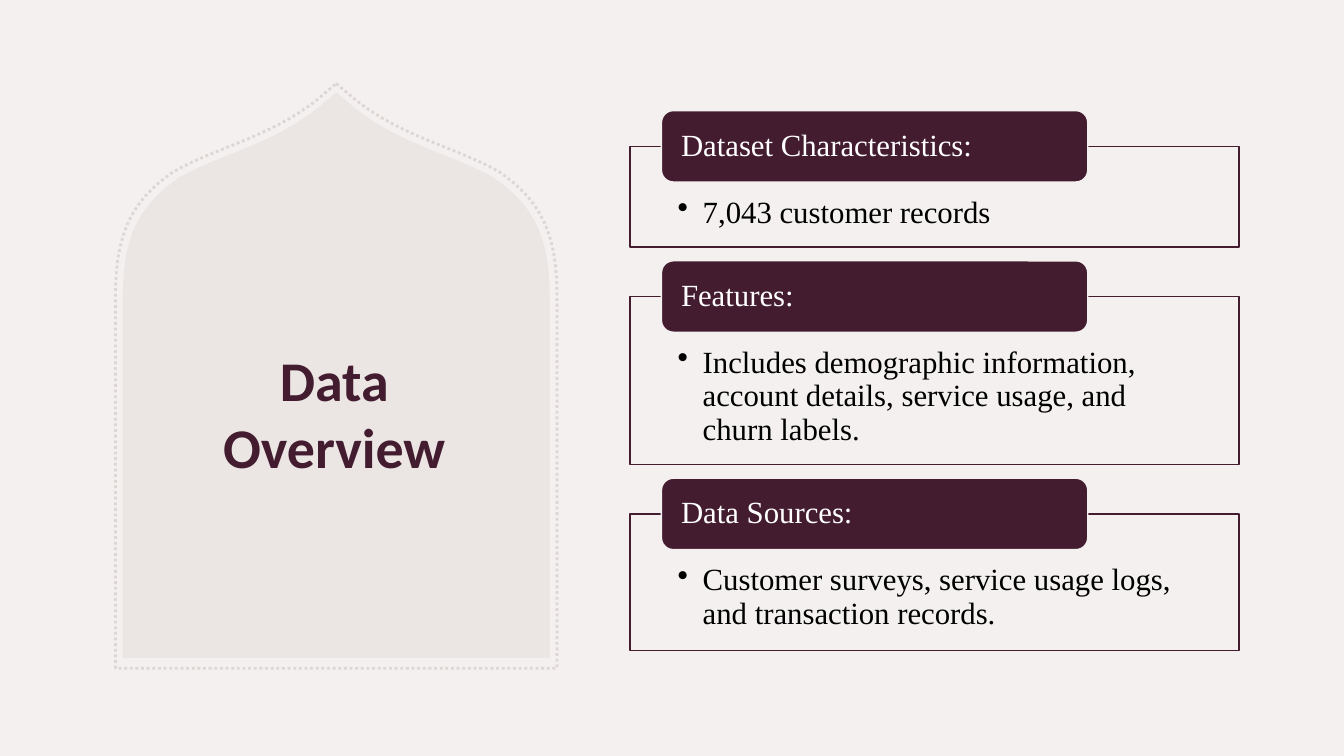
from dataclasses import dataclass

from lxml.etree import SubElement
from pptx import Presentation
from pptx.dml.color import RGBColor
from pptx.enum.dml import MSO_LINE
from pptx.enum.shapes import MSO_SHAPE as Preset
from pptx.enum.text import MSO_ANCHOR as Anchor, PP_ALIGN as Align
from pptx.oxml.ns import qn
from pptx.util import Pt

TITLE = "Data Overview"
# heading, detail, panel height
SECTIONS = [
    ("Dataset Characteristics:", "7,043 customer records", 72),
    ("Features:", "Includes demographic information, account details, "
                  "service usage, and churn labels.", 120),
    ("Data Sources:", "Customer surveys, service usage logs, "
                      "and transaction records.", 97.5),
]


@dataclass(frozen=True)
class Theme:
    background: str = "F3F0EF"
    plum: str = "431C30"
    arch: str = "EBE6E4"
    dots: str = "DED6D3"
    white: str = "FFFFFF"
    black: str = "000000"
    title_font: str = "Calibri"
    body_font: str = "Times New Roman"
    title_size: int = 40
    body_size: int = 22


THEME = Theme()

# Right half of the arch, measured from its tip
ARCH_CENTER = 240.2
ARCH_START = (13.5, 11.5)
ARCH_CURVES = [
    ((46.5, 37.5), (84, 44.5), (112.5, 61)),
    ((140, 80), (152.5, 102), (152.5, 146)),
]
ARCH_FOOT = (152.5, 404)
CURVE_STEPS = 16

PANEL_LEFT, PANEL_WIDTH = 450, 435
TAB_LEFT, TAB_WIDTH, TAB_HEIGHT = 472.5, 304.5, 51
FIRST_TAB_TOP, SECTION_GAP = 79, 9.8
BULLET_INDENT = 18


def color(code):
    return RGBColor.from_string(code)


def bezier(start, first, second, end):
    """Return points along a cubic curve, without its start."""
    points = []
    for step in range(1, CURVE_STEPS + 1):
        t = step / CURVE_STEPS
        weights = ((1 - t) ** 3, 3 * t * (1 - t) ** 2, 3 * t * t * (1 - t), t ** 3)
        points.append(tuple(
            sum(weight * point[axis] for weight, point
                in zip(weights, (start, first, second, end)))
            for axis in (0, 1)))
    return points


def add_arch(slide, top, scale):
    half = [ARCH_START]
    for curve in ARCH_CURVES:
        half += bezier(half[-1], *curve)
    half.append(ARCH_FOOT)
    outline = half + [(-x, y) for x, y in reversed(half)]
    points = [(Pt(ARCH_CENTER + x * scale), Pt(top + y * scale))
              for x, y in outline]
    builder = slide.shapes.build_freeform(Pt(ARCH_CENTER), Pt(top))
    builder.add_line_segments(points, close=True)
    arch = builder.convert_to_shape()
    arch.shadow.inherit = False
    return arch


def style_text(paragraph, font, size, code):
    paragraph.font.name = font
    paragraph.font.size = Pt(size)
    paragraph.font.color.rgb = color(code)


def add_box(slide, preset, bounds, fill, line, text, text_color, insets, anchor):
    """Add a filled box with body text and return its paragraph."""
    box = slide.shapes.add_shape(preset, *map(Pt, bounds))
    box.shadow.inherit = False
    box.fill.solid()
    box.fill.fore_color.rgb = color(fill)
    box.line.color.rgb = color(line)
    box.line.width = Pt(1)
    frame = box.text_frame
    frame.word_wrap = True
    frame.vertical_anchor = anchor
    (frame.margin_left, frame.margin_top,
     frame.margin_right, frame.margin_bottom) = map(Pt, insets)
    paragraph = frame.paragraphs[0]
    paragraph.text = text
    paragraph.alignment = Align.LEFT
    paragraph.line_spacing = 0.9
    return paragraph


def add_bullet(paragraph):
    properties = paragraph._p.get_or_add_pPr()
    properties.set("marL", str(Pt(BULLET_INDENT)))
    properties.set("indent", str(-Pt(BULLET_INDENT)))
    SubElement(properties, qn("a:buChar"), char="•")


def add_section(slide, tab_top, heading, detail, height):
    """Add a panel with its tab and return the panel's bottom."""
    panel_top = tab_top + TAB_HEIGHT / 2
    paragraph = add_box(
        slide, Preset.RECTANGLE, (PANEL_LEFT, panel_top, PANEL_WIDTH, height),
        THEME.background, THEME.plum, detail, THEME.black,
        (34, 36, 34, 12), Anchor.TOP)
    add_bullet(paragraph)
    style_text(paragraph, THEME.body_font, THEME.body_size, THEME.black)
    paragraph = add_box(
        slide, Preset.ROUNDED_RECTANGLE,
        (TAB_LEFT, tab_top, TAB_WIDTH, TAB_HEIGHT),
        THEME.plum, THEME.background, heading, THEME.white,
        (11.5, 0, 11.5, 0), Anchor.MIDDLE)
    style_text(paragraph, THEME.body_font, THEME.body_size, THEME.white)
    return panel_top + height


def add_title(slide):
    box = slide.shapes.add_textbox(Pt(116), Pt(181.5), Pt(245.5), Pt(227))
    frame = box.text_frame
    frame.word_wrap = True
    frame.vertical_anchor = Anchor.MIDDLE
    paragraph = frame.paragraphs[0]
    paragraph.text = TITLE
    paragraph.alignment = Align.CENTER
    style_text(paragraph, THEME.title_font, THEME.title_size, THEME.plum)
    paragraph.font.bold = True


def main():
    presentation = Presentation()
    presentation.slide_width, presentation.slide_height = Pt(960), Pt(540)
    slide = presentation.slides.add_slide(presentation.slide_layouts[6])
    slide.background.fill.solid()
    slide.background.fill.fore_color.rgb = color(THEME.background)

    arch = add_arch(slide, 66, 1)
    arch.fill.solid()
    arch.fill.fore_color.rgb = color(THEME.arch)
    arch.line.fill.background()

    border = add_arch(slide, 59.6, 1.034)
    border.fill.background()
    border.line.color.rgb = color(THEME.dots)
    border.line.width = Pt(2)
    border.line.dash_style = MSO_LINE.ROUND_DOT

    add_title(slide)
    tab_top = FIRST_TAB_TOP
    for section in SECTIONS:
        tab_top = add_section(slide, tab_top, *section) + SECTION_GAP
    presentation.save("out.pptx")


if __name__ == "__main__":
    main()
